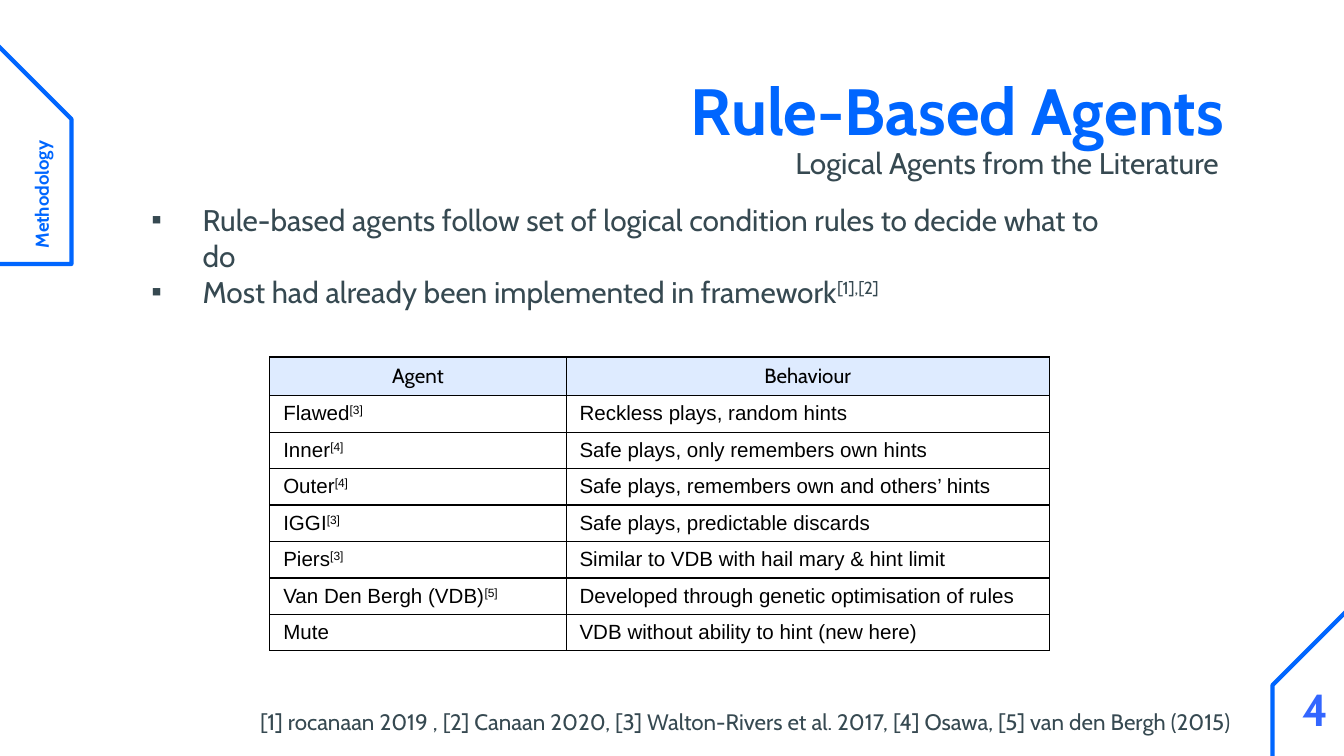
from lxml import etree
from pptx import Presentation
from pptx import util as u
from pptx.dml.color import RGBColor
from pptx.enum import text as t
from pptx.oxml.ns import qn

BLUE, GREY, BLACK = "0066FF", "364951", "000000"
LEFT, MID, RIGHT = t.PP_ALIGN.LEFT, t.PP_ALIGN.CENTER, t.PP_ALIGN.RIGHT


def tint(code):
    return RGBColor.from_string(code)


def write(par, words, size, code, align=LEFT, bold=False, face="Cabin"):
    main, _, note = words.partition("^")
    par.add_run().text = main
    if note:
        run = par.add_run()
        run.text = note
        run._r.get_or_add_rPr().set("baseline", "30000")
    par.alignment = align
    font = par.font
    font.name, font.size, font.bold = face, u.Pt(size), bold
    font.color.rgb = tint(code)


prs = Presentation()
prs.slide_width, prs.slide_height = u.Cm(25.4), u.Cm(14.29)
slide = prs.slides.add_slide(prs.slide_layouts[1])
shapes = slide.shapes
title, body = slide.placeholders

edge = [(32.23, 4.77), (24.05, 12.95), (24.05, 15.69),
        (30.68, 15.69), (39.34, 7.02), (40.36, 4.77)]
mirror = [(25.4 - x, y - 10.7) for x, y in edge]
for pts in (edge, mirror):
    pts = [(u.Cm(x), u.Cm(y)) for x, y in pts]
    pen = shapes.build_freeform(*pts[0])
    pen.add_line_segments(pts[1:], close=True)
    frame = pen.convert_to_shape()
    frame.shadow.inherit = False
    frame.fill.background()
    frame.line.color.rgb = tint(BLUE)
    frame.line.width = u.Pt(2.25)

sub, num, foot, tab = [shapes.add_textbox(0, 0, 0, 0) for _ in range(4)]
places = [
    (title, 7.34, 1.07, 16.05, 2.31),
    (sub, 11.79, 2.49, 11.5, 1.19),
    (num, 24.33, 12.75, 1.07, 1.27),
    (body, 2.31, 3.56, 19.2, 3.6),
    (foot, 0.81, 13.13, 22.81, 0.86),
    (tab, -2.11, 1.78, 5.79, 0.69),
]
for box, *at in places:
    box.left, box.top, box.width, box.height = map(u.Cm, at)
    tf = box.text_frame
    tf.word_wrap = True
    tf.auto_size = t.MSO_AUTO_SIZE.NONE
    tf.vertical_anchor = t.MSO_ANCHOR.TOP
    tf.margin_left = tf.margin_right = u.Cm(0.25)
    tf.margin_top = tf.margin_bottom = u.Cm(0.13 if box is tab else 0.25)
num.text_frame.vertical_anchor = t.MSO_ANCHOR.MIDDLE
tab.rotation = 270

refs = ("[1] rocanaan 2019 , [2] Canaan 2020, [3] Walton-Rivers et al. 2017, "
        "[4] Osawa, [5] van den Bergh (2015) ")
for box, words, size, code, align, bold in [
    (title, "Rule-Based Agents", 35, BLUE, RIGHT, True),
    (sub, "Logical Agents from the Literature", 16, GREY, RIGHT, False),
    (num, "4", 24, "3366FF", MID, True),
    (foot, refs, 12, GREY, RIGHT, False),
    (tab, " Methodology", 10, BLUE, LEFT, True),
]:
    write(box.text_frame.paragraphs[0], words, size, code, align, bold)

points = [
    "Rule-based agents follow set of logical condition rules to decide what to do",
    "Most had already been implemented in framework^[1],[2]",
]
tf = body.text_frame
for i, words in enumerate(points):
    par = tf.add_paragraph() if i else tf.paragraphs[0]
    par.space_before = u.Pt(0)
    write(par, words, 16, GREY)
    ppr = par._p.get_or_add_pPr()
    ppr.set("marL", str(u.Cm(1.27)))
    ppr.set("indent", str(u.Cm(-0.97)))
    mark = etree.Element(qn("a:buChar"), char="▪")
    ppr.find(qn("a:defRPr")).addprevious(mark)

rows = [
    ("Agent", "Behaviour"),
    ("Flawed^[3]", "Reckless plays, random hints"),
    ("Inner^[4]", "Safe plays, only remembers own hints"),
    ("Outer^[4]", "Safe plays, remembers own and others’ hints"),
    ("IGGI^[3]", "Safe plays, predictable discards"),
    ("Piers^[3]", "Similar to VDB with hail mary & hint limit"),
    ("Van Den Bergh (VDB)^[5]", "Developed through genetic optimisation of rules"),
    ("Mute", "VDB without ability to hint (new here)"),
]
grid = shapes.add_table(len(rows), 2, u.Cm(5.1), u.Cm(6.75),
                        u.Cm(14.73), u.Cm(5.52)).table
grid.first_row = grid.horz_banding = False
grid.columns[0].width, grid.columns[1].width = u.Cm(5.6), u.Cm(9.13)
for i, row in enumerate(rows):
    grid.rows[i].height = u.Cm(0.69)
    for j, words in enumerate(row):
        cell = grid.cell(i, j)
        par = cell.text_frame.paragraphs[0]
        if i:
            write(par, words, 11, BLACK, face="Arial")
        else:
            write(par, words, 11, BLACK, MID)
        prop = cell._tc.get_or_add_tcPr()
        for side in "LRTB":
            line = etree.SubElement(prop, qn("a:ln" + side), w=str(u.Pt(0.75)))
            fill = etree.SubElement(line, qn("a:solidFill"))
            etree.SubElement(fill, qn("a:srgbClr"), val=BLACK)
        if i:
            cell.fill.background()
        else:
            cell.fill.solid()
            cell.fill.fore_color.rgb = tint("DEEBFF")

prs.save("out.pptx")
